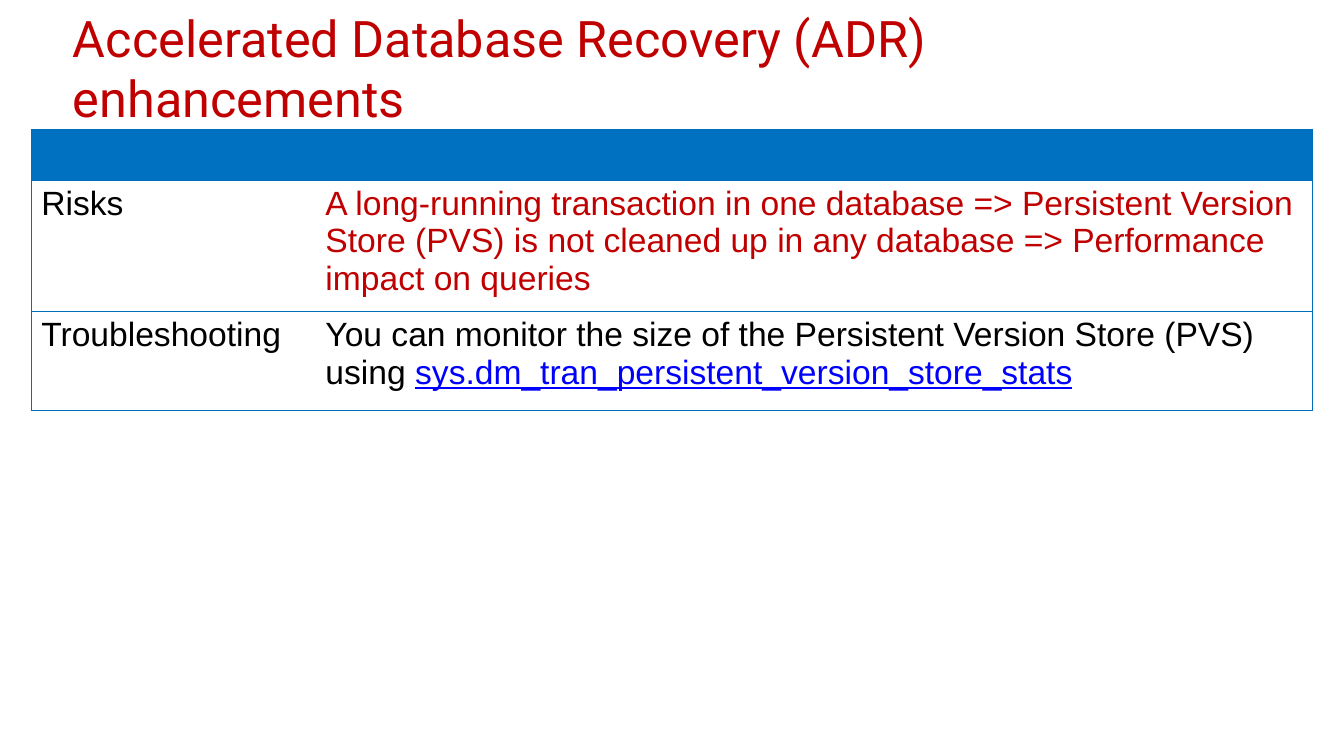
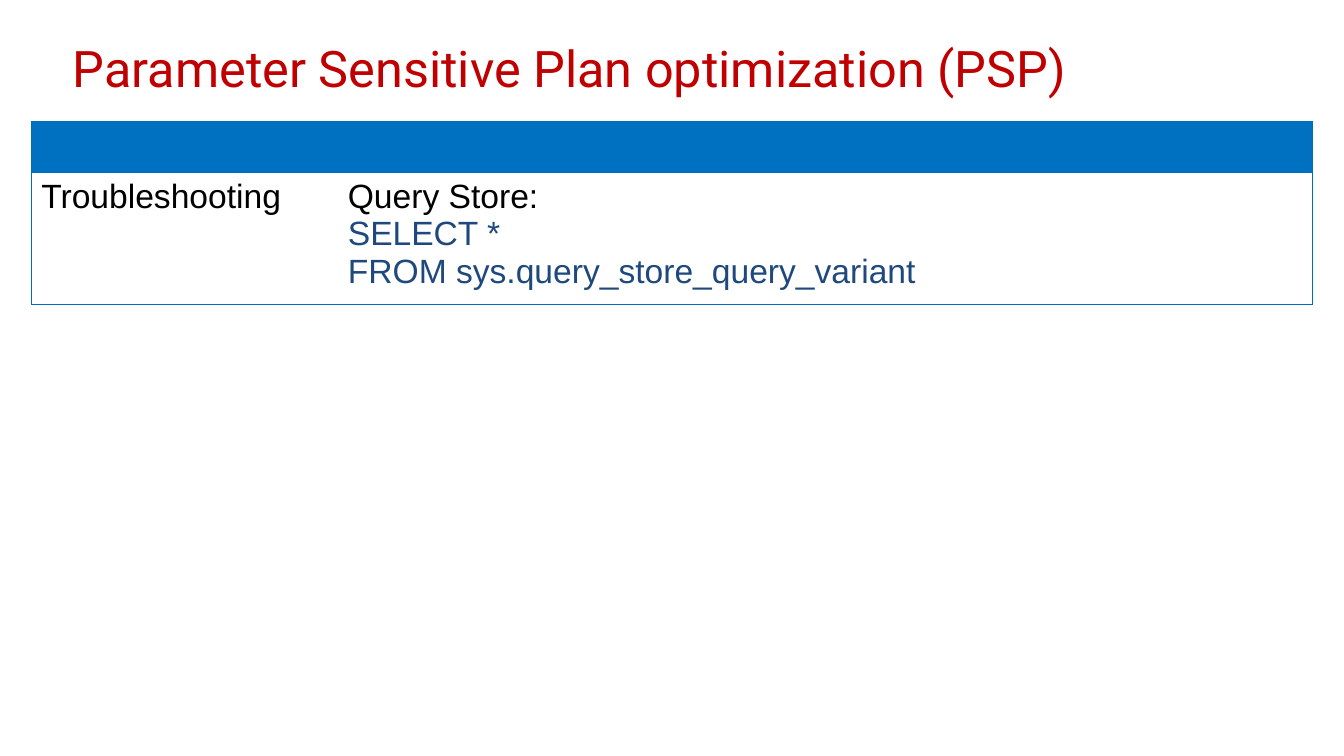
"""Build two slides on database engine features, each with a title and a table."""
import pptx
import pptx.dml.color
import pptx.enum.text
import pptx.oxml
import pptx.oxml.ns
import pptx.util

Pt = pptx.util.Pt
COLORS = {"red": "C00000", "blue": "0070C0", "border": "006EBC", "black": "000000",
          "link": "0000FF", "code": "1F497D", "white": "FFFFFF"}
TITLE_STYLE = {"name": "Roboto", "size": Pt(36)}
CELL_STYLE = {"name": "Arial", "size": Pt(24)}
NO_TABLE_STYLE = "{2D5ABB26-0587-4C30-8999-92F81FD0307C}"
TITLE_BOX = (45, 3, 867, 90)
TABLE_LEFT, TABLE_WIDTH, HEADER_HEIGHT = 22.3, 915, 36.4

SLIDES = [
    {
        "title": "Accelerated Database Recovery (ADR) enhancements",
        "top": 92.2, "label_width": 203,
        "rows": [
            ("Risks", 87.8, [
                [("A long-running transaction in one database => Persistent Version Store (PVS) "
                  "is not cleaned up in any database => Performance impact on queries", "red")],
            ]),
            ("Troubleshooting", 71, [
                [("You can monitor the size of the Persistent Version Store (PVS) using ", "black"),
                 ("sys.dm_tran_persistent_version_store_stats", "link")],
            ]),
        ],
    },
    {
        "title": "Parameter Sensitive Plan optimization (PSP)",
        "top": 87.1, "label_width": 219,
        "rows": [
            ("Troubleshooting", 87.8, [
                [("Query Store:", "black")],
                [("SELECT *", "code")],
                [("FROM sys.query_store_query_variant", "code")],
            ]),
        ],
    },
]


def rgb(color):
    return pptx.dml.color.RGBColor.from_string(COLORS[color])


def write(frame, paragraphs, style):
    for index, spans in enumerate(paragraphs):
        para = frame.paragraphs[0] if index == 0 else frame.add_paragraph()
        for text, color in spans:
            span = para.add_run()
            span.text = text
            for name, value in style.items():
                setattr(span.font, name, value)
            span.font.color.rgb = rgb(color)
            if color == "link":
                span.font.underline = True


def add_title(page, text):
    box = page.shapes.add_textbox(*map(Pt, TITLE_BOX))
    frame = box.text_frame
    frame.word_wrap = True
    frame.vertical_anchor = pptx.enum.text.MSO_ANCHOR.MIDDLE
    write(frame, [[(text, "red")]], TITLE_STYLE)


def format_cell(cell, side, fill):
    properties = cell._tc.get_or_add_tcPr()
    for edge in (side, "T", "B"):
        properties.append(pptx.oxml.parse_xml(
            f'<a:ln{edge} {pptx.oxml.ns.nsdecls("a")} w="{Pt(0.75)}"><a:solidFill>'
            f'<a:srgbClr val="{COLORS["border"]}"/></a:solidFill></a:ln{edge}>'))
    cell.fill.solid()
    cell.fill.fore_color.rgb = rgb(fill)


def add_table(page, top, label_width, rows):
    heights = [HEADER_HEIGHT] + [height for _, height, _ in rows]
    frame = page.shapes.add_table(len(heights), 2, Pt(TABLE_LEFT), Pt(top),
                                  Pt(TABLE_WIDTH), Pt(sum(heights)))
    table = frame.table
    table.horz_banding = False
    table._tbl.tblPr.find(pptx.oxml.ns.qn("a:tableStyleId")).text = NO_TABLE_STYLE
    for column, width in zip(table.columns, (label_width, TABLE_WIDTH - label_width)):
        column.width = Pt(width)
    for index, height in enumerate(heights):
        table.rows[index].height = Pt(height)
        for column, side in enumerate("LR"):
            format_cell(table.cell(index, column), side, "white" if index else "blue")
    for index, (label, _, paragraphs) in enumerate(rows, start=1):
        write(table.cell(index, 0).text_frame, [[(label, "black")]], CELL_STYLE)
        write(table.cell(index, 1).text_frame, paragraphs, CELL_STYLE)


def main():
    deck = pptx.Presentation()
    deck.slide_width, deck.slide_height = Pt(960), Pt(540)
    for content in SLIDES:
        page = deck.slides.add_slide(deck.slide_layouts[6])
        add_title(page, content["title"])
        add_table(page, content["top"], content["label_width"], content["rows"])
    deck.save("out.pptx")


if __name__ == "__main__":
    main()
